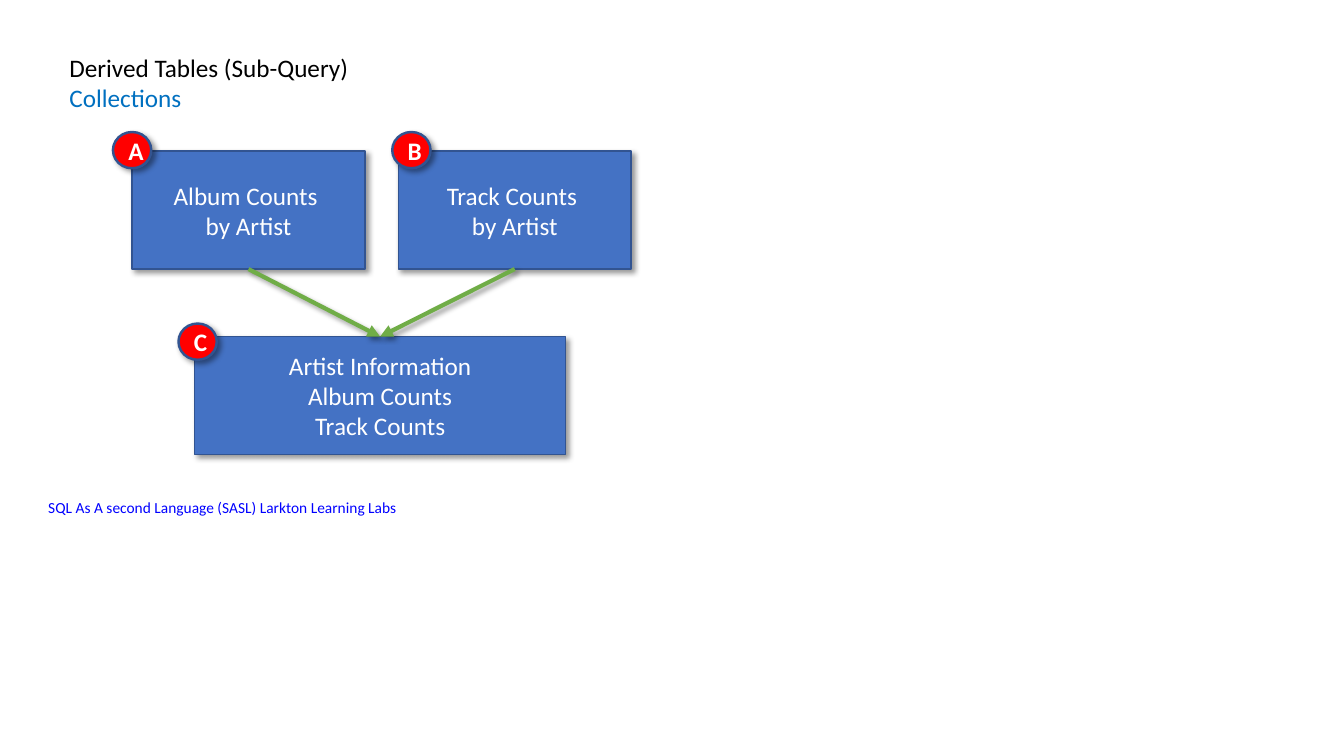
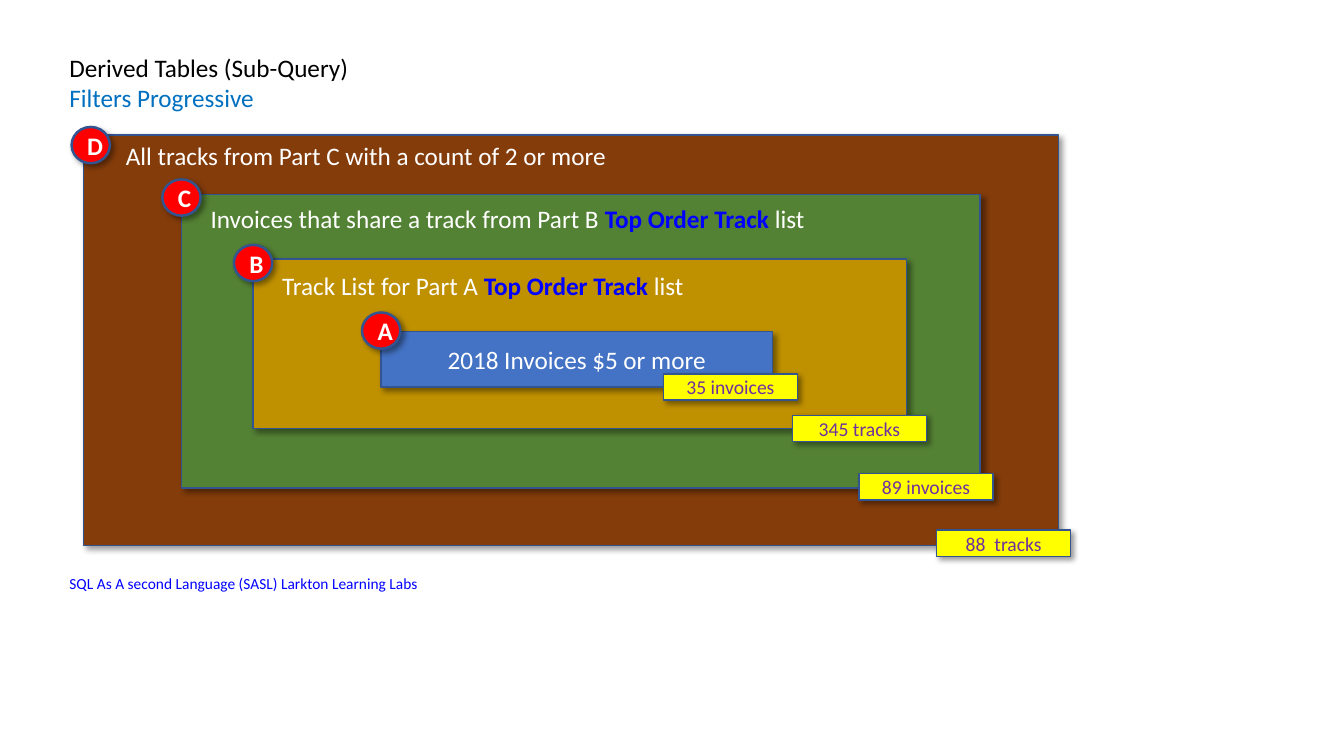
from lxml import etree
from pptx import Presentation
from pptx.dml.color import RGBColor
from pptx.enum.shapes import MSO_CONNECTOR, MSO_SHAPE
from pptx.enum.text import MSO_ANCHOR, PP_ALIGN
from pptx.oxml.ns import qn
from pptx.util import Inches, Pt

RECTANGLE, OVAL = MSO_SHAPE.RECTANGLE, MSO_SHAPE.OVAL
STRAIGHT = MSO_CONNECTOR.STRAIGHT
MIDDLE, TOP = MSO_ANCHOR.MIDDLE, MSO_ANCHOR.TOP
CENTER, LEFT = PP_ALIGN.CENTER, PP_ALIGN.LEFT

FONT = "Calibri"
COLORS = {
    "black": "000000", "white": "FFFFFF", "subtitle": "0070C0",
    "highlight": "0000FF", "outline": "325491", "blue": "4472C4",
    "red": "FF0000", "arrow": "70AD47", "brown": "843C0B",
    "green": "548235", "gold": "BF9000", "yellow": "FFFF00",
    "purple": "7030A0",
}
TITLE = "Derived Tables (Sub-Query)"
FOOTER = "SQL As A second Language (SASL) Larkton Learning Labs"
BADGE_W, BADGE_H = 0.38, 0.36
COUNT_W, COUNT_H = 1.33, 0.26


def add_shadow(shape):
    effects = etree.SubElement(shape.element.spPr, qn("a:effectLst"))
    shadow = etree.SubElement(
        effects, qn("a:outerShdw"), blurRad=str(Pt(4)), dist=str(Pt(3)),
        dir="2700000", algn="tl", rotWithShape="0")
    black = etree.SubElement(shadow, qn("a:srgbClr"), val=COLORS["black"])
    etree.SubElement(black, qn("a:alpha"), val="40000")


def add_text(slide, box, text, shape=None, fill="blue", border=1, size=18,
             colors=("white",), bold=False, wrap=True):
    """Asterisks enclose highlighted words; colors go by paragraph."""
    area = [Inches(length) for length in box]
    if shape is None:
        item = slide.shapes.add_textbox(*area)
    else:
        item = slide.shapes.add_shape(shape, *area)
        item.fill.solid()
        item.fill.fore_color.rgb = RGBColor.from_string(COLORS[fill])
        item.line.color.rgb = RGBColor.from_string(COLORS["outline"])
        item.line.width = Pt(border)
        add_shadow(item)
    frame = item.text_frame
    frame.word_wrap = wrap
    frame.vertical_anchor = TOP if shape is None else MIDDLE
    for row, line in enumerate(text.split("\n")):
        paragraph = frame.add_paragraph() if row else frame.paragraphs[0]
        paragraph.alignment = LEFT if shape is None else CENTER
        for part, words in enumerate(line.split("*")):
            if not words:
                continue
            marked = part % 2 == 1
            color = "highlight" if marked else colors[row % len(colors)]
            run = paragraph.add_run()
            run.text = words
            run.font.name = FONT
            run.font.size = Pt(size)
            run.font.bold = bold or marked
            run.font.color.rgb = RGBColor.from_string(COLORS[color])
    return item


deck = Presentation()
deck.slide_width, deck.slide_height = Inches(13.33), Inches(7.5)
slides = []
for subtitle, footer_left, footer_top in (
        ("Collections", 0.38, 4.89), ("Filters Progressive", 0.59, 5.65)):
    slide = deck.slides.add_slide(deck.slide_layouts[6])
    add_text(slide, (0.59, 0.47, 6.24, 0.71), f"{TITLE}\n{subtitle}",
             colors=("black", "subtitle"))
    add_text(slide, (footer_left, footer_top, 7.46, 0.29), FOOTER,
             size=11, colors=("highlight",))
    slides.append(slide)
collections, filters = slides

tables = []
for letter, box, text, badge in (
        ("A", (1.31, 1.5, 2.31, 1.17), "Album Counts \nby Artist", (1.12, 1.31)),
        ("B", (3.95, 1.5, 2.31, 1.17), "Track Counts \nby Artist", (3.89, 1.31)),
        ("C", (1.93, 3.34, 3.68, 1.17),
         "Artist Information\nAlbum Counts\nTrack Counts", (1.77, 3.21))):
    tables.append(add_text(collections, box, text, shape=RECTANGLE))
    add_text(collections, (*badge, BADGE_W, BADGE_H), letter, shape=OVAL,
             fill="red", border=1.75, bold=True)

*sources, result = tables
for source in sources:
    arrow = collections.shapes.add_connector(STRAIGHT, 0, 0, 0, 0)
    arrow.begin_connect(source, 2)
    arrow.end_connect(result, 0)
    arrow.line.color.rgb = RGBColor.from_string(COLORS["arrow"])
    arrow.line.width = Pt(3)
    etree.SubElement(arrow.line._get_or_add_ln(), qn("a:tailEnd"), type="triangle")
    add_shadow(arrow)

for letter, fill, box, label, badge, caption, caption_box, count, count_at in (
        ("D", "brown", (0.83, 1.34, 9.67, 4.07), "", (0.71, 1.26),
         "All tracks from Part C with a count of 2 or more",
         (1.15, 1.34, 5.13, 0.4), "88  tracks", (9.29, 5.26)),
        ("C", "green", (1.8, 1.93, 7.92, 2.91), "", (1.61, 1.78),
         "Invoices that share a track from Part B *Top Order Track *list",
         (1.99, 1.97, 6.15, 0.4), "89 invoices", (8.52, 4.7)),
        ("B", "gold", (2.51, 2.57, 6.48, 1.68), "", (2.32, 2.43),
         "Track List for Part A *Top Order Track *list",
         (2.7, 2.63, 4.19, 0.4), "345 tracks", (7.86, 4.12)),
        ("A", "blue", (3.78, 3.29, 3.88, 0.55), "2018 Invoices $5 or more",
         (3.59, 3.1), "", None, "35 invoices", (6.58, 3.71))):
    add_text(filters, box, label, shape=RECTANGLE, fill=fill)
    add_text(filters, (*badge, BADGE_W, BADGE_H), letter, shape=OVAL,
             fill="red", border=1.75, bold=True)
    if caption:
        add_text(filters, caption_box, caption, wrap=False)
    add_text(filters, (*count_at, COUNT_W, COUNT_H), count, shape=RECTANGLE,
             fill="yellow", size=14, colors=("purple",))

deck.save("out.pptx")
